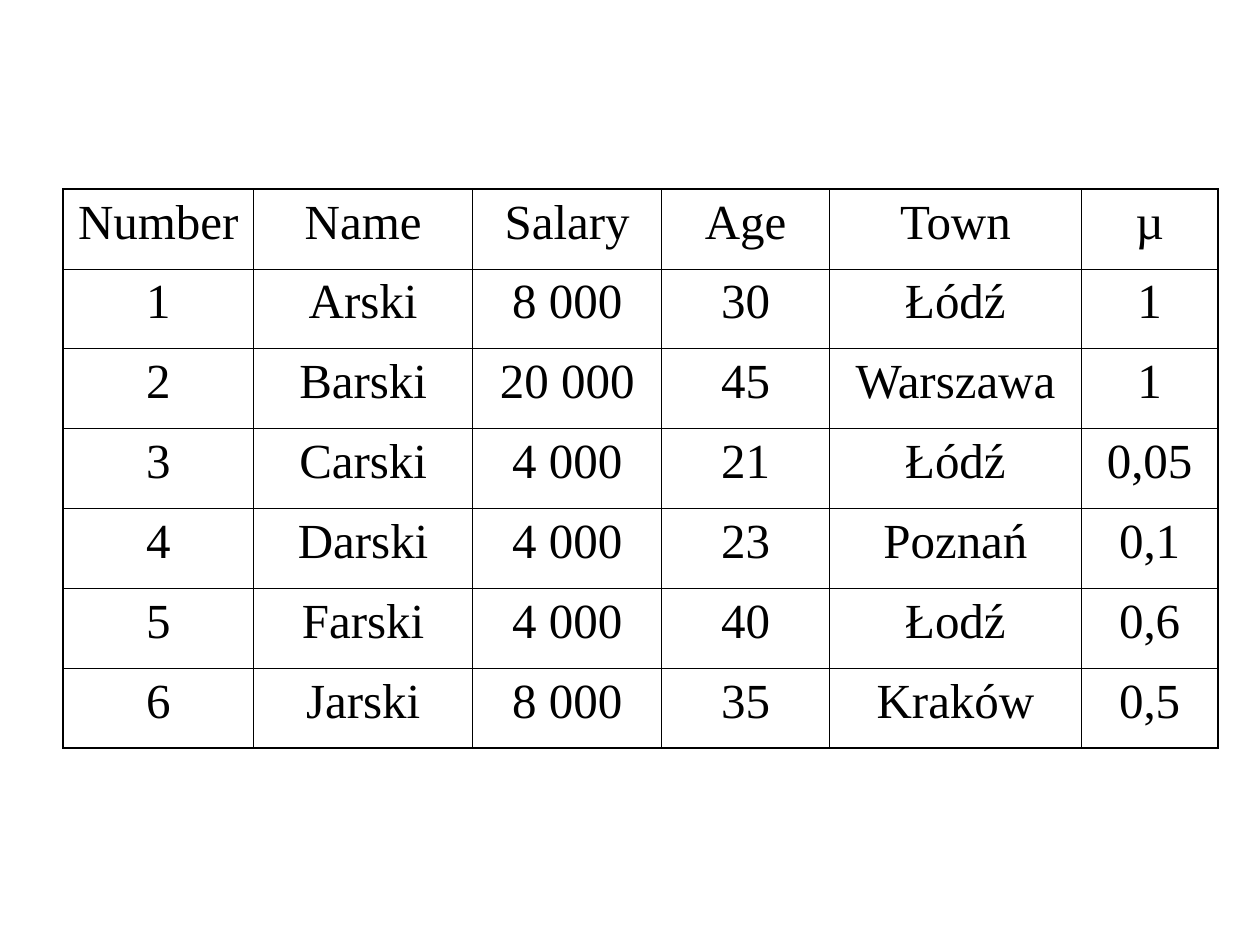
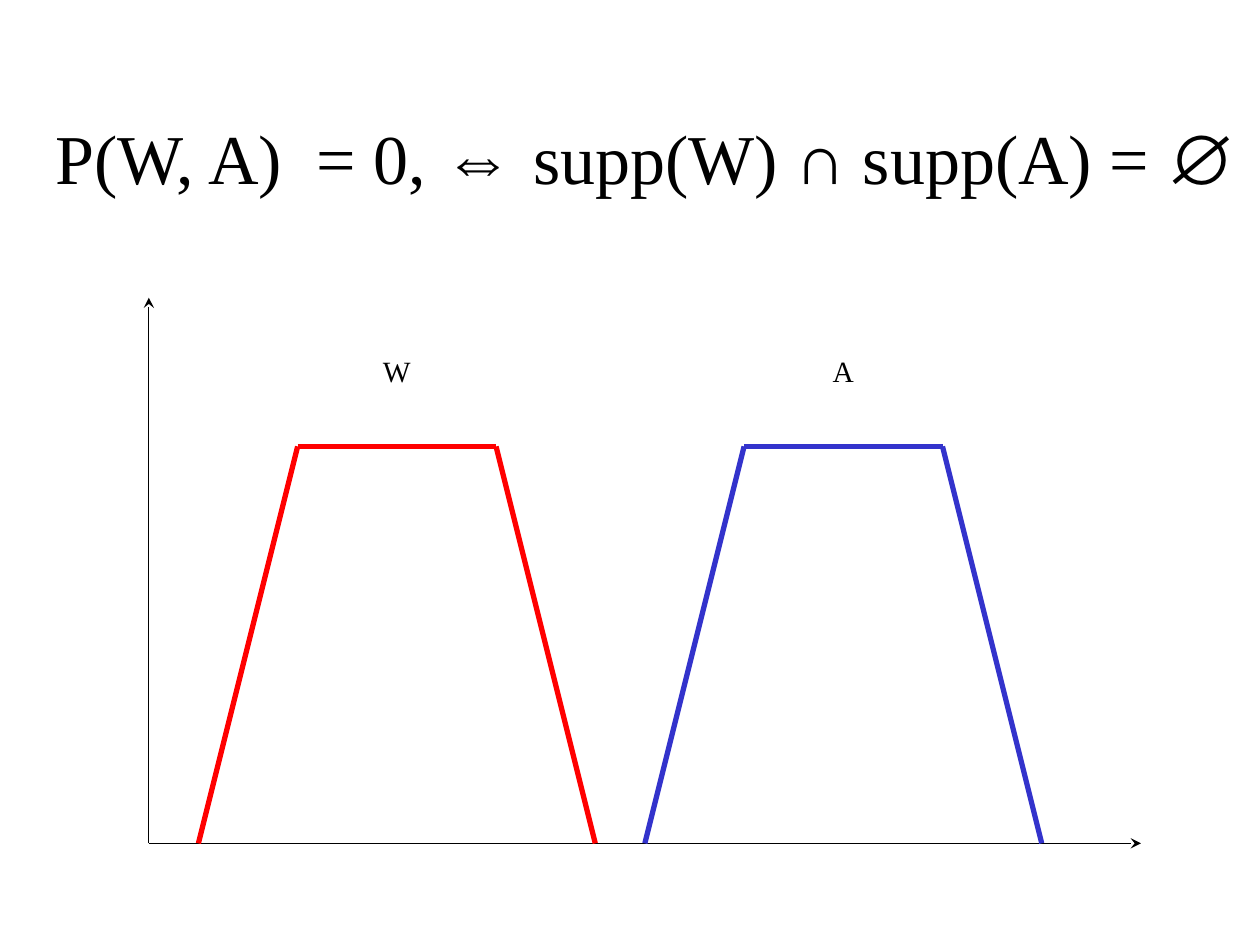
from itertools import pairwise

from pptx import Presentation
from pptx.dml.color import RGBColor
from pptx.enum.shapes import MSO_CONNECTOR
from pptx.enum.text import MSO_ANCHOR, MSO_AUTO_SIZE, PP_ALIGN
from pptx.oxml.ns import qn
from pptx.oxml.xmlchemy import OxmlElement
from pptx.util import Pt

COLORS = {"ink": "000000", "red": "FF0000", "blue": "3333CC"}
SERIF, SYMBOL = "Times New Roman", "Arial"
GRID_COLS, GRID_ROWS = 25.4, 19.05
TITLE_ONLY, BLANK = 5, 6


def add_element(parent, tag, **attrs):
    element = OxmlElement(tag)
    for name, value in attrs.items():
        element.set(name, str(value))
    parent.append(element)
    return element


class Deck:
    def __init__(self):
        self.prs = Presentation()
        self.prs.slide_width, self.prs.slide_height = Pt(720), Pt(540)
        self.s = None

    def x(self, cols):
        return round(self.prs.slide_width * cols / GRID_COLS)

    def y(self, rows):
        return round(self.prs.slide_height * rows / GRID_ROWS)

    def box(self, left, top, width, height):
        return self.x(left), self.y(top), self.x(width), self.y(height)

    def new_slide(self, layout):
        self.s = self.prs.slides.add_slide(self.prs.slide_layouts[layout])

    def add_runs(self, tf, runs, size):
        p = tf.paragraphs[0]
        p.alignment = PP_ALIGN.CENTER
        for text, font, gap in runs:
            r = p.add_run()
            r.text = text
            r.font.name, r.font.size = font, Pt(size)
            r.font.color.rgb = RGBColor.from_string(COLORS["ink"])
            rPr = r.font._element
            add_element(rPr, "a:ea", typeface=font)
            if gap:
                rPr.set("spc", str(gap * 100))

    def title(self, runs, box):
        sp = self.s.shapes.title
        sp.left, sp.top, sp.width, sp.height = self.box(*box)
        tf = sp.text_frame
        tf.word_wrap, tf.auto_size = True, MSO_AUTO_SIZE.NONE
        tf.vertical_anchor = MSO_ANCHOR.MIDDLE
        self.add_runs(tf, runs, 40)

    def label(self, text, left, top):
        tf = self.s.shapes.add_textbox(*self.box(left, top, 2, 1)).text_frame
        tf.word_wrap = True
        self.add_runs(tf, [(text, SERIF, 0)], 16.8)

    def line(self, start, end, color, width, arrow=False):
        (x1, y1), (x2, y2) = start, end
        sp = self.s.shapes.add_connector(
            MSO_CONNECTOR.STRAIGHT, self.x(x1), self.y(y1), self.x(x2), self.y(y2))
        sp.line.color.rgb = RGBColor.from_string(COLORS[color])
        sp.line.width = Pt(width)
        spPr = sp._element.spPr
        if arrow:
            add_element(spPr.find(qn("a:ln")), "a:tailEnd", type="stealth")
        add_element(spPr, "a:effectLst")

    def polyline(self, points, color):
        for start, end in pairwise(points):
            self.line(start, end, color, 3)

    def border(self, cell, outer_sides):
        tcPr = cell._tc.get_or_add_tcPr()
        for side in "LRTB":
            width = Pt(1.08 if side in outer_sides else 0.45)
            ln = add_element(tcPr, f"a:ln{side}", w=int(width))
            fill = add_element(ln, "a:solidFill")
            add_element(fill, "a:srgbClr", val=COLORS["ink"])

    def table(self, rows, left, top, col_widths, row_height):
        last_row, last_col = len(rows) - 1, len(col_widths) - 1
        box = self.box(left, top, sum(col_widths), row_height * len(rows))
        table = self.s.shapes.add_table(len(rows), len(col_widths), *box).table
        table.first_row = table.horz_banding = False
        for column, width in zip(table.columns, col_widths):
            column.width = self.x(width)
        for i, values in enumerate(rows):
            table.rows[i].height = self.y(row_height)
            for j, value in enumerate(values):
                cell = table.cell(i, j)
                self.add_runs(cell.text_frame, [(value, SERIF, 0)], 28)
                edges = {"L": j == 0, "R": j == last_col, "T": i == 0, "B": i == last_row}
                self.border(cell, [side for side, outer in edges.items() if outer])
                cell.fill.background()


def people_slide(deck):
    deck.new_slide(BLANK)
    people = [
        ("Number", "Name", "Salary", "Age", "Town", "µ"),
        ("1", "Arski", "8 000", "30", "Łódź", "1"),
        ("2", "Barski", "20 000", "45", "Warszawa", "1"),
        ("3", "Carski", "4 000", "21", "Łódź", "0,05"),
        ("4", "Darski", "4 000", "23", "Poznań", "0,1"),
        ("5", "Farski", "4 000", "40", "Łodź", "0,6"),
        ("6", "Jarski", "8 000", "35", "Kraków", "0,5"),
    ]
    deck.table(people, 1.27, 3.81, [3.84, 4.42, 3.81, 3.38, 5.08, 2.75], 1.61)


def disjoint_sets_slide(deck):
    deck.new_slide(TITLE_ONLY)
    deck.title([
        ("P(W, A)", SERIF, 0),
        (" ", SERIF, 10),
        ("= 0, ", SERIF, 0),
        ("⇔ ", SYMBOL, 0),
        ("supp(W) ", SERIF, 0),
        ("∩", SYMBOL, 0),
        (" supp(A) = ", SERIF, 0),
        ("∅", SYMBOL, 0),
    ], (0.64, 0.84, 24.76, 4.65))
    base, peak = 17, 9
    origin = (3, base)
    for tip in ((3, 6), (23, base)):
        deck.line(origin, tip, "ink", 0.75, arrow=True)
    for name, color, left, label_left in (("W", "red", 4, 7), ("A", "blue", 13, 16)):
        deck.polyline([(left, base), (left + 2, peak),
                       (left + 6, peak), (left + 8, base)], color)
        deck.label(name, label_left, 7)


def main():
    deck = Deck()
    people_slide(deck)
    disjoint_sets_slide(deck)
    deck.prs.save("out.pptx")


if __name__ == "__main__":
    main()
